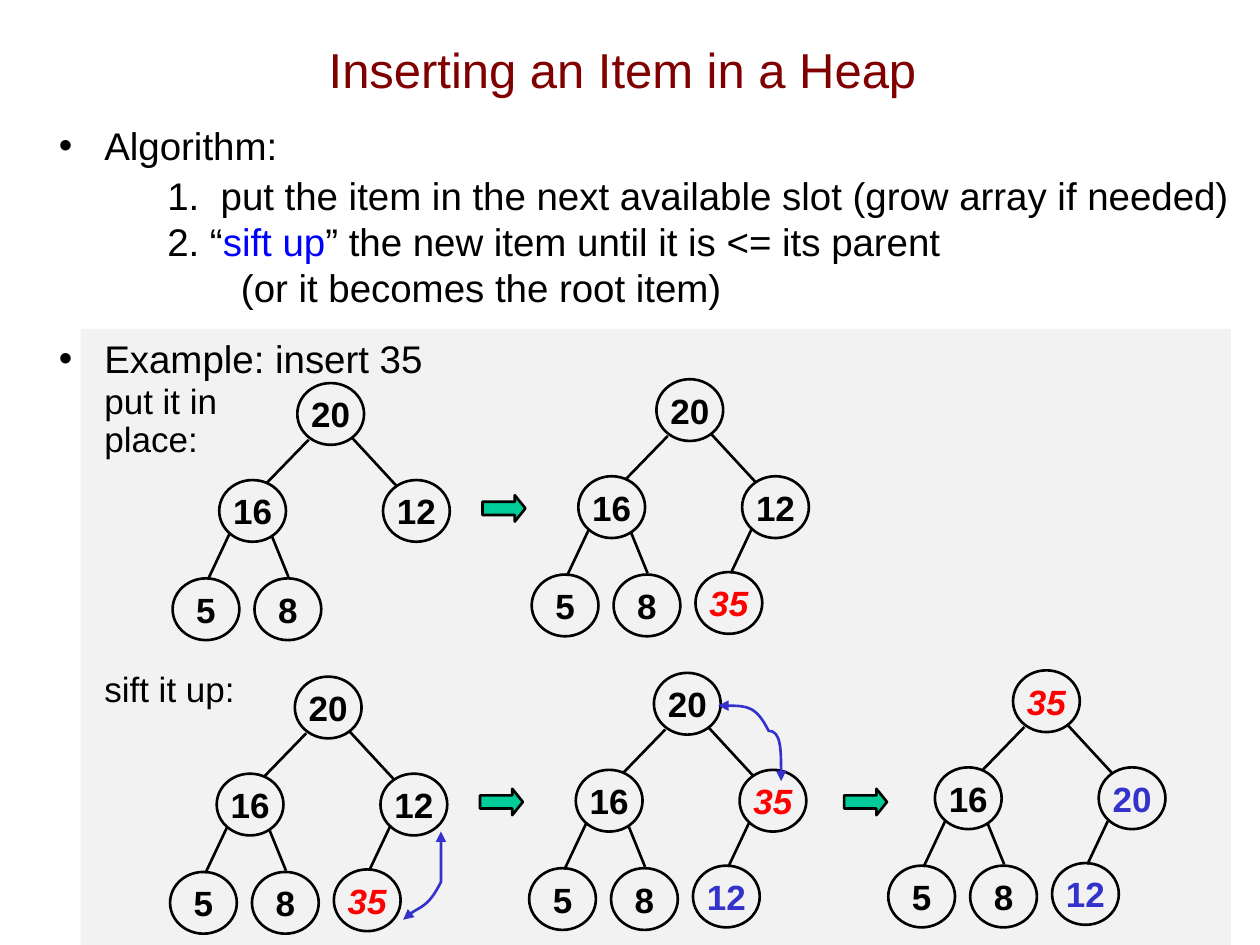
from dataclasses import dataclass

import pptx
import pptx.dml.color
import pptx.enum.shapes
import pptx.enum.text
import pptx.oxml
import pptx.oxml.ns
import pptx.util

qn = pptx.oxml.ns.qn
SHAPES = pptx.enum.shapes.MSO_SHAPE
ALIGN = pptx.enum.text.PP_ALIGN
ANCHOR = pptx.enum.text.MSO_ANCHOR


@dataclass(frozen=True)
class Theme:
    font: str = "Arial"
    ink: str = "000000"
    title: str = "800000"
    term: str = "0000FF"
    new: str = "FF0000"
    moved: str = "3333CC"
    arrow: str = "00CC99"
    panel: str = "F2F2F2"
    title_size: int = 28
    body_size: int = 22
    small_size: int = 20
    stroke: float = 1.5


def rgb(value):
    return pptx.dml.color.RGBColor.from_string(value)


def cells(count):
    """Turn grid cells (100 columns by 75 rows) into a length."""
    return pptx.util.Inches(count / 10)


def add_xml(parent, tag, children="", **attributes):
    listed = " ".join(f'{name}="{value}"' for name, value in attributes.items())
    parent.append(pptx.oxml.parse_xml(
        f'<a:{tag} {pptx.oxml.ns.nsdecls("a")} {listed}>{children}</a:{tag}>'))


class HeapSlide:
    # Node and edge places, in cells from the top left of the root node
    NODE_SIZE = (5.3, 4.9)
    NODES = ((0, 0), (-6.2, 7.7), (6.8, 7.7), (-9.9, 15.5), (-3.4, 15.5), (3.1, 15.3))
    EDGES = ((0.9, 4.5, -2.4, 7.9), (4.3, 4.3, 7.9, 8.2), (-5.4, 12, -7.1, 15.6),
             (-2, 12.2, -0.7, 15.4), (7.6, 11.8, 5.9, 15.4))

    def __init__(self, deck, theme):
        self.theme = theme
        self.page = deck.slides.add_slide(deck.slide_layouts[6])

    def style_font(self, font, size, color, bold=False, italic=False):
        font.name, font.size = self.theme.font, pptx.util.Pt(size)
        font.bold, font.italic = bold, italic
        font.color.rgb = rgb(color)

    def style_line(self, line, color):
        line.color.rgb = rgb(color)
        line.width = pptx.util.Pt(self.theme.stroke)

    def shape(self, kind, left, top, width, height, fill=None, outlined=True):
        shape = self.page.shapes.add_shape(kind, *map(cells, (left, top, width, height)))
        shape.shadow.inherit = False
        if fill:
            shape.fill.solid()
            shape.fill.fore_color.rgb = rgb(fill)
        else:
            shape.fill.background()
        if outlined:
            self.style_line(shape.line, self.theme.ink)
        else:
            shape.line.fill.background()
        return shape

    def text_box(self, left, top, width, height, anchor=ANCHOR.TOP):
        box = self.page.shapes.add_textbox(*map(cells, (left, top, width, height)))
        box.text_frame.word_wrap = True
        box.text_frame.vertical_anchor = anchor
        return box.text_frame

    def title(self, text):
        frame = self.text_box(6.4, 0.8, 86, 9.3, ANCHOR.MIDDLE)
        para = frame.paragraphs[0]
        para.text, para.alignment = text, ALIGN.CENTER
        self.style_font(para.font, self.theme.title_size, self.theme.title)

    def body(self, items):
        """Each item: spans, size, space before, line spacing, bulleted."""
        frame = self.text_box(3.7, 9.2, 96.3, 61.4)
        for index, (spans, size, before, spacing, bulleted) in enumerate(items):
            para = frame.add_paragraph() if index else frame.paragraphs[0]
            if before:
                para.space_before = pptx.util.Pt(before)
            para.line_spacing = spacing
            props = para._p.get_or_add_pPr()
            props.set("marL", str(cells(3.6)))
            props.set("indent", str(-cells(3.6)))
            if bulleted:
                add_xml(props, "buClr", f'<a:srgbClr val="{self.theme.ink}"/>')
                add_xml(props, "buFont", typeface=self.theme.font)
                add_xml(props, "buChar", char="•")
            else:
                add_xml(props, "buNone")
            add_xml(props, "tabLst", "".join(
                f'<a:tab pos="{cells(stop)}" algn="l"/>' for stop in (6.2, 8.7)))
            self.style_font(para.font, size, self.theme.ink)
            for text, color in spans:
                for part, line in enumerate(text.split("\n")):
                    if part:
                        para.add_line_break()
                    span = para.add_run()
                    span.text = line
                    if color:
                        span.font.color.rgb = rgb(color)

    def node(self, left, top, label, color):
        frame = self.shape(SHAPES.OVAL, left, top, *self.NODE_SIZE).text_frame
        frame.margin_left = frame.margin_right = frame.margin_top = frame.margin_bottom = 0
        frame.vertical_anchor, frame.word_wrap = ANCHOR.MIDDLE, False
        para = frame.paragraphs[0]
        para.text, para.alignment = label, ALIGN.CENTER
        self.style_font(para.font, self.theme.small_size, color,
                        bold=True, italic=color == self.theme.new)

    def edge(self, *ends):
        line = self.page.shapes.add_connector(
            pptx.enum.shapes.MSO_CONNECTOR.STRAIGHT, *map(cells, ends))
        self.style_line(line.line, self.theme.ink)
        add_xml(line.element.spPr, "effectLst")

    def tree(self, left, top, labels, colors):
        """Labels run level by level; colors names the ones not in ink."""
        for (across, down), label in zip(self.NODES, labels):
            self.node(left + across, top + down, label, colors.get(label, self.theme.ink))
        for x1, y1, x2, y2 in self.EDGES[:len(labels) - 1]:
            self.edge(left + x1, top + y1, left + x2, top + y2)

    def step_arrow(self, left, top):
        arrow = self.shape(SHAPES.RIGHT_ARROW, left, top, 3.4, 2.1, self.theme.arrow)
        arrow.adjustments[0], arrow.adjustments[1] = 0.5, 0.4

    def swap_arrow(self, start, *points):
        """Two-headed curve; every three points make one Bezier piece."""
        pen = self.page.shapes.build_freeform(*start, scale=cells(1))
        pen.add_line_segments(points, close=False)
        curve = pen.convert_to_shape()
        curve.shadow.inherit = False
        curve.fill.background()
        self.style_line(curve.line, self.theme.moved)
        outline = curve.element.find(".//" + qn("a:path"))
        steps = outline.findall(qn("a:lnTo"))
        for first in range(0, len(steps), 3):
            add_xml(outline, "cubicBezTo")
            for step in steps[first:first + 3]:
                outline[-1].append(step[0])
                outline.remove(step)
        stroke = curve.element.spPr.find(qn("a:ln"))
        for tag in ("headEnd", "tailEnd"):
            add_xml(stroke, tag, type="triangle")


def main():
    deck = pptx.Presentation()
    deck.slide_width, deck.slide_height = cells(100), cells(75)
    theme = Theme()
    slide = HeapSlide(deck, theme)

    # Panel and wording
    slide.shape(SHAPES.RECTANGLE, 6.4, 26.1, 91.3, 48.9, theme.panel, outlined=False)
    slide.title("Inserting an Item in a Heap")
    steps = [
        ("\t\t1.  put the item in the next available slot (grow array if needed)\n\t2. “", None),
        ("sift up", theme.term),
        ("” the new item until it is <= its parent\n\t\t (or it becomes the root item)", None),
    ]
    slide.body([
        ([("Algorithm:", None)], theme.body_size, 0, 1.0, True),
        (steps, theme.body_size, 2, 1.0, False),
        ([("Example: insert 35", None)], theme.body_size, 14, 1.0, True),
        ([("\tput it in\nplace:", None)], theme.small_size, 2, 0.9, False),
        ([("\tsift it up:", None)], theme.small_size, 121, 0.9, False),
    ])

    # Heaps: put in place, then sift up
    new, moved = theme.new, theme.moved
    for left, top, labels, colors in (
        (23.6, 30.4, ("20", "16", "12", "5", "8"), {}),
        (52.1, 30.1, ("20", "16", "12", "5", "8", "35"), {"35": new}),
        (23.4, 53.7, ("20", "16", "12", "5", "8", "35"), {"35": new}),
        (51.9, 53.4, ("20", "16", "35", "5", "8", "12"), {"35": new, "12": moved}),
        (80.4, 53.2, ("35", "16", "20", "5", "8", "12"),
         {"35": new, "20": moved, "12": moved}),
    ):
        slide.tree(left, top, labels, colors)

    # Steps between heaps and swaps inside them
    for left, top in ((38.3, 39.3), (38.1, 62.6), (67, 62.6)):
        slide.step_arrow(left, top)
    slide.swap_arrow((34.6, 65.6), (35, 67.4), (35.4, 69.1), (34.9, 70.3),
                     (34.4, 71.5), (32.9, 72.1), (31.5, 72.8))
    slide.swap_arrow((56.8, 55.5), (58.6, 56), (60.3, 56.5), (61.1, 57.5),
                     (61.9, 58.5), (61.8, 60), (61.7, 61.6))

    deck.save("out.pptx")


if __name__ == "__main__":
    main()
